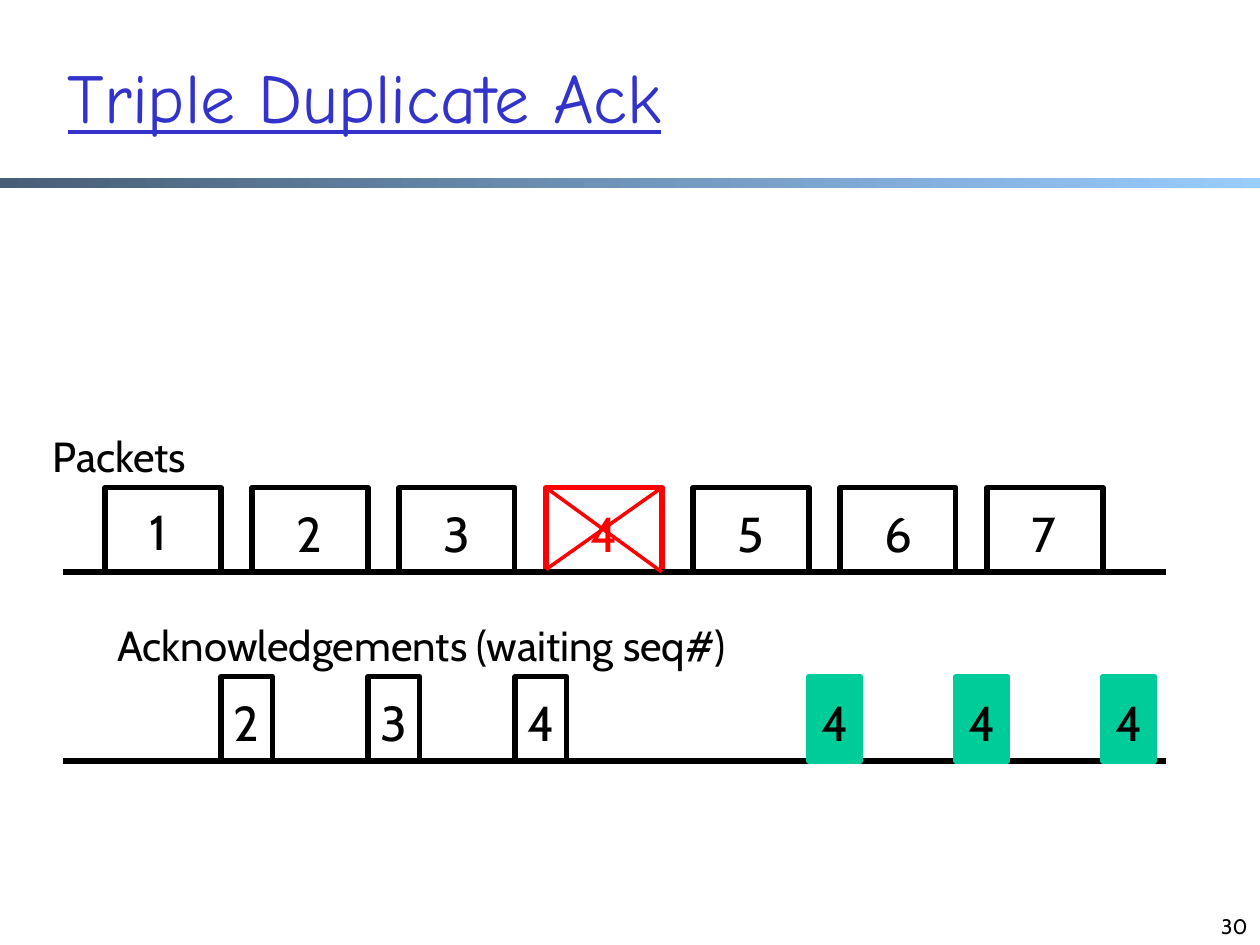
import dataclasses

import pptx
import pptx.dml.color
import pptx.enum.shapes
import pptx.enum.text
import pptx.oxml.ns
import pptx.util
from lxml import etree

W, H = 10, 7.5
GRID_LEFT, COL = W / 12, W * 7 / 60
BOX_H = 0.67
PACKET_W, ACK_W = 0.92, 0.41
BLACK, RED, GREEN, BLUE = "000000", "FF0000", "00CC99", "3333CC"
PACKET_Y, ACK_Y = 3.87, 5.37
LOST = 4

ANCHOR = pptx.enum.text.MSO_ANCHOR
ALIGN = pptx.enum.text.PP_ALIGN
RECT = pptx.enum.shapes.MSO_SHAPE.RECTANGLE


@dataclasses.dataclass
class Segment:
    """A numbered box in a column of the time grid."""
    number: int
    left: float
    top: float
    width: float
    color: str = BLACK
    fill: str | None = None
    label_dy: float = 0.08


def rgb(value: str) -> pptx.dml.color.RGBColor:
    return pptx.dml.color.RGBColor.from_string(value)


def inches(*values: float) -> list[int]:
    return [pptx.util.Inches(v) for v in values]


def add_text(slide, text: str, box: tuple, size: float, font: str = "Cabin",
             color: str = BLACK, anchor=ANCHOR.TOP, align=ALIGN.LEFT,
             wrap: bool = False, underline: bool = False) -> None:
    tf = slide.shapes.add_textbox(*inches(*box)).text_frame
    tf.word_wrap = wrap
    tf.vertical_anchor = anchor
    p = tf.paragraphs[0]
    p.text = text
    p.alignment = align
    p.font.name = font
    p.font.size = pptx.util.Pt(size)
    p.font.underline = underline
    p.font.color.rgb = rgb(color)


def add_line(slide, start: tuple, end: tuple, color: str, width: float) -> None:
    line = slide.shapes.add_connector(
        pptx.enum.shapes.MSO_CONNECTOR.STRAIGHT, *inches(*start, *end))
    line.line.color.rgb = rgb(color)
    line.line.width = pptx.util.Pt(width)
    sp_pr = line._element.spPr
    etree.SubElement(sp_pr, pptx.oxml.ns.qn("a:effectLst"))


def add_axis(slide, y: float) -> None:
    add_line(slide, (W * 0.05, y), (W * 0.925, y), BLACK, 3)


def add_segment(slide, seg: Segment) -> None:
    sp = slide.shapes.add_shape(
        RECT, *inches(seg.left, seg.top, seg.width, BOX_H))
    sp.shadow.inherit = False
    if seg.fill:
        sp.fill.solid()
        sp.fill.fore_color.rgb = rgb(seg.fill)
    else:
        sp.fill.background()
    sp.line.color.rgb = rgb(seg.fill or seg.color)
    sp.line.width = pptx.util.Pt(3)
    label_left = seg.left + (seg.width - ACK_W) / 2
    add_text(slide, str(seg.number),
             (label_left, seg.top + seg.label_dy, ACK_W, 0.57), 28,
             color=RED if seg.color == RED else BLACK)


def add_title_rule(slide) -> None:
    sp = slide.shapes.add_shape(RECT, *inches(0, 1.41, W, 0.08))
    sp.shadow.inherit = False
    sp.line.fill.background()
    sp.fill.gradient()
    sp.fill.gradient_angle = 0
    for stop, (position, color) in zip(sp.fill.gradient_stops,
                                       ((0, "475E76"), (1, "99CCFF"))):
        stop.position = position
        stop.color.rgb = rgb(color)


def main() -> None:
    prs = pptx.Presentation()
    prs.slide_width, prs.slide_height = inches(W, H)
    slide = prs.slides.add_slide(prs.slide_layouts[6])

    add_title_rule(slide)
    add_text(slide, "Triple Duplicate Ack", (0.44, 0.25, 8.5, 0.89), 40,
             "Comic Neue", BLUE, ANCHOR.BOTTOM, wrap=True, underline=True)

    packets = [Segment(n, GRID_LEFT + (n - 1) * COL, PACKET_Y, PACKET_W,
                       RED if n == LOST else BLACK,
                       label_dy=0.06 if n == 1 else 0.08)
               for n in range(1, 8)]
    lost = packets[LOST - 1]
    # The lost packet lies behind the time axis, the others in front.
    add_segment(slide, lost)
    add_axis(slide, PACKET_Y + BOX_H)
    for packet in packets:
        if packet is not lost:
            add_segment(slide, packet)
    right, bottom = lost.left + PACKET_W, PACKET_Y + BOX_H
    add_line(slide, (lost.left, bottom - 0.02), (right, PACKET_Y), RED, 2)
    add_line(slide, (lost.left, PACKET_Y), (right, bottom), RED, 2)

    add_axis(slide, ACK_Y + BOX_H)
    for packet in packets:
        if packet is not lost:
            add_segment(slide, Segment(
                min(packet.number + 1, LOST), packet.left + PACKET_W, ACK_Y,
                ACK_W, fill=GREEN if packet.number > LOST else None))

    add_text(slide, "Packets", (0.32, PACKET_Y - 0.5, 1.32, 0.5), 24)
    add_text(slide, "Acknowledgements (waiting seq#)",
             (GRID_LEFT, ACK_Y - 0.5, 5.31, 0.5), 24)
    add_text(slide, "30", (W * 0.767, 7, W * 0.233, 0.5), 12,
             anchor=ANCHOR.BOTTOM, align=ALIGN.RIGHT, wrap=True)

    prs.save("out.pptx")


if __name__ == "__main__":
    main()
